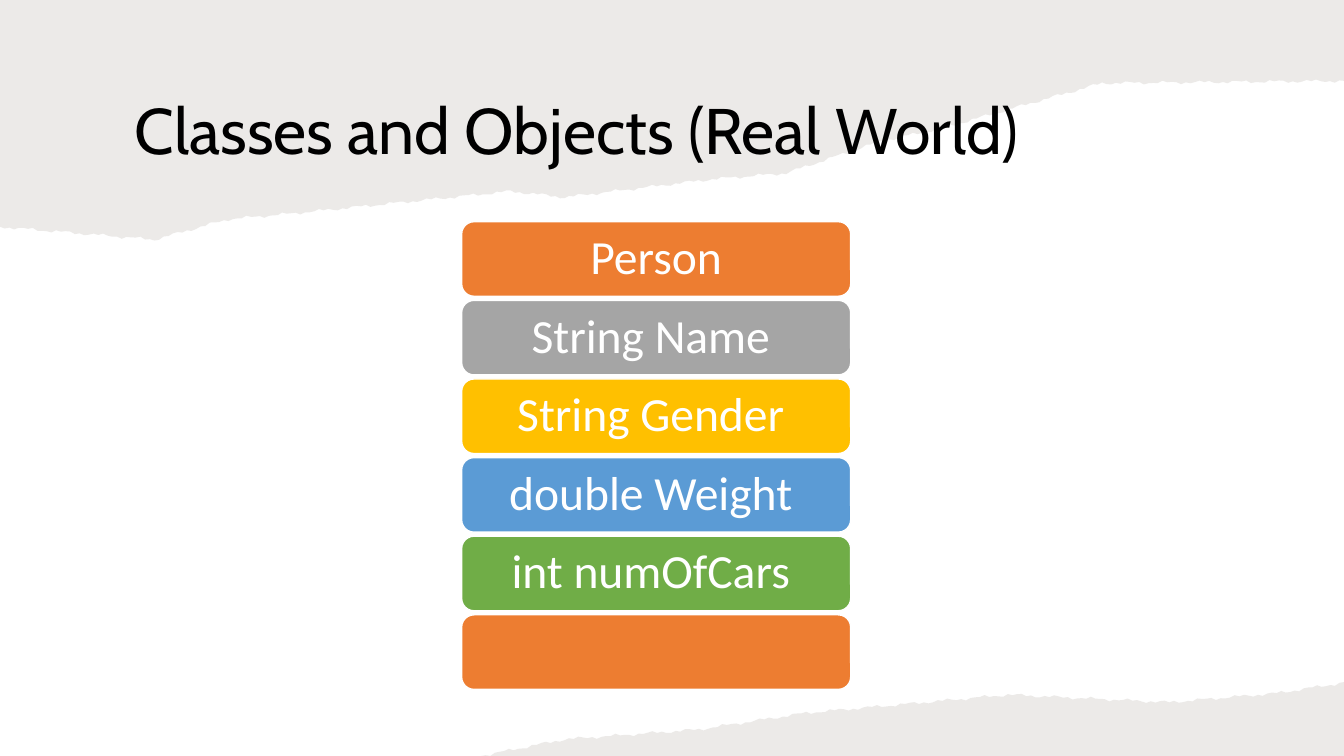
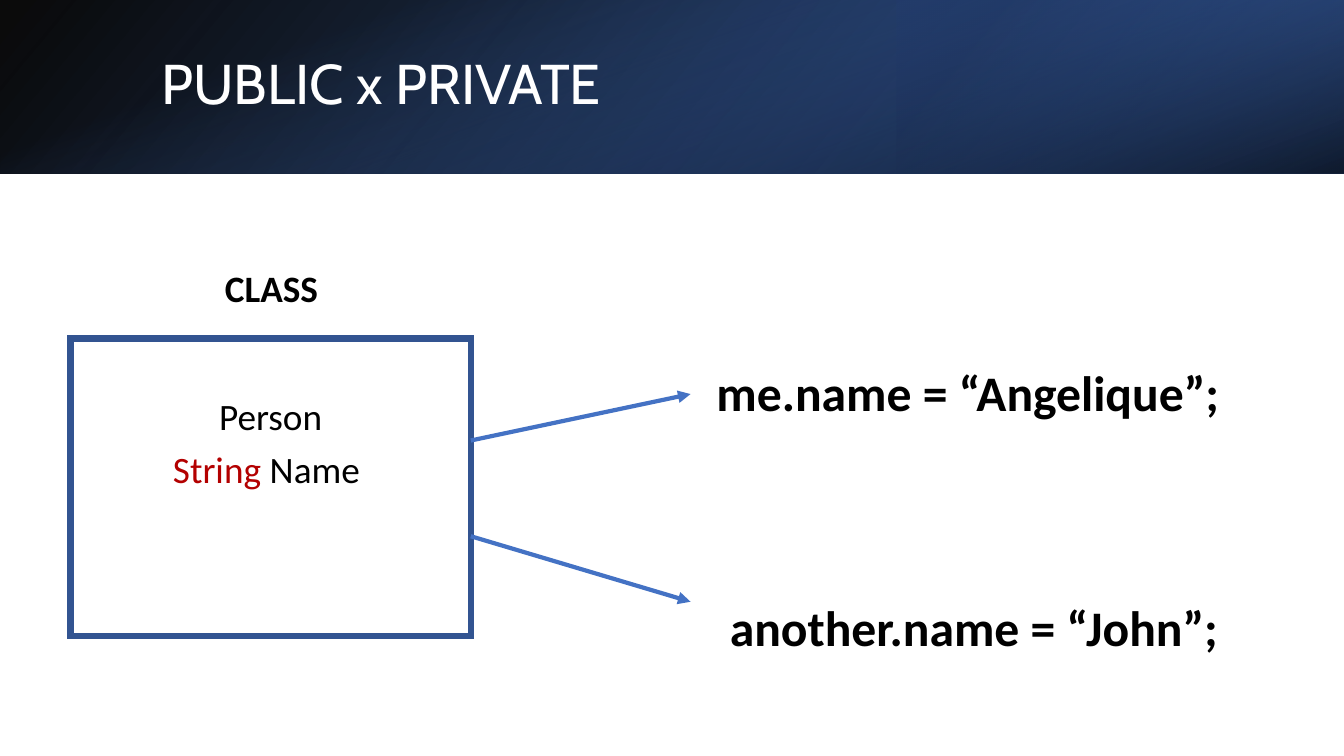
"""Builds two lesson slides about classes, objects and access."""
from itertools import pairwise
from math import ceil, sin
from typing import NamedTuple

from lxml.etree import SubElement
from pptx import Presentation
from pptx.dml.color import RGBColor
from pptx.enum.shapes import MSO_CONNECTOR as LINE, MSO_SHAPE as SHAPE
from pptx.enum.text import MSO_ANCHOR as ANCHOR, PP_ALIGN as ALIGN
from pptx.oxml.ns import qn
from pptx.util import Inches, Pt

W, H = Inches(13.333), Inches(7.5)
COL, ROW = W / 100, H / 100

BLACK = RGBColor(0x00, 0x00, 0x00)
WHITE = RGBColor(0xFF, 0xFF, 0xFF)
PAPER = RGBColor(0x82, 0x76, 0x6A)
ORANGE = RGBColor(0xED, 0x7D, 0x31)
GRAY = RGBColor(0xA5, 0xA5, 0xA5)
GOLD = RGBColor(0xFF, 0xC0, 0x00)
SKY = RGBColor(0x5B, 0x9B, 0xD5)
GREEN = RGBColor(0x70, 0xAD, 0x47)
BLUE = RGBColor(0x44, 0x72, 0xC4)
MID_BLUE = RGBColor(0x2F, 0x55, 0x97)
NAVY = RGBColor(0x20, 0x38, 0x64)
BORDER = RGBColor(0x32, 0x54, 0x91)
RED = RGBColor(0xB3, 0x00, 0x00)
TITLE_FONT, BODY_FONT = "Cabin", "Calibri"


class Point(NamedTuple):
    """A place in columns and rows."""
    x: float
    y: float


class Box(NamedTuple):
    """Left and width in columns, top and height in rows."""
    x: float
    y: float
    w: float
    h: float

    def emu(self) -> tuple[int, int, int, int]:
        """Return the box in slide units."""
        return (round(self.x * COL), round(self.y * ROW),
                round(self.w * COL), round(self.h * ROW))


class Paper(NamedTuple):
    """Torn paper: straight slide corners and the knots of its torn edge."""
    corners: tuple[Point, ...]
    knots: tuple[Point, ...]


class Stop(NamedTuple):
    """One gradient stop with its opacity in percent."""
    pos: float
    color: RGBColor
    alpha: int


class Band(NamedTuple):
    """A gradient layer of the title band."""
    box: Box
    angle: int
    stops: tuple[Stop, Stop]
    rotation: int = 0
    flip: bool = False


class Member(NamedTuple):
    """A coloured row of the class stack."""
    text: str
    color: RGBColor


class Label(NamedTuple):
    """A bold centred label."""
    text: str
    box: Box
    size: float


class Arrow(NamedTuple):
    """A straight arrow between two points."""
    start: Point
    end: Point


TEAR_STEP, TEAR_DEPTH = 0.35, 0.13
TOP_PAPER = Paper(
    corners=(Point(0, 0), Point(100, 0)),
    knots=(Point(100, 10.7), Point(82, 11), Point(76, 14), Point(70, 17),
           Point(65.5, 18.7), Point(58.5, 22.9), Point(53, 23.7),
           Point(42, 26.1), Point(38, 25.3), Point(22, 28.2),
           Point(17, 29), Point(11.5, 31.7), Point(0, 30)))
BOTTOM_PAPER = Paper(
    corners=(Point(100, 100),),
    knots=(Point(35.8, 100), Point(42, 97.8), Point(52, 96.5),
           Point(60, 94.3), Point(67, 93.2), Point(75, 91.9),
           Point(87, 92.9), Point(95, 91.7), Point(100, 90.3)))

MEMBERS = (
    Member("Person", ORANGE), Member("String Name ", GRAY),
    Member("String Gender ", GOLD), Member("double Weight ", SKY),
    Member("int numOfCars ", GREEN), Member("", ORANGE))
STACK = Box(34.35, 29.33, 28.95, 9.87)
STACK_PITCH = 10.4

BAND_H = 22.93
BANDS = (
    Band(Box(0, 0, 100, BAND_H), 140,
         (Stop(0, BLACK, 96), Stop(1, MID_BLUE, 100)), flip=True),
    Band(Box(66.67, 0, 33.33, BAND_H), 320,
         (Stop(0.19, NAVY, 68), Stop(1, BLUE, 79)), rotation=180, flip=True),
    Band(Box(0, 0, 100, BAND_H), 340,
         (Stop(0.23, BLUE, 0), Stop(0.99, BLACK, 74)), rotation=90))
CLASS_BOX = Box(5.25, 44.8, 29.78, 39.33)
CLASS_TEXT_TOP = 7.2
LABELS = (
    Label("CLASS", Box(8.4, 34.4, 23.62, 7.33), 26.6),
    Label("me.name = “Angelique”;", Box(49.65, 47.2, 44.78, 9.33), 35.5),
    Label("another.name = “John”;", Box(50.1, 78.27, 44.78, 9.33), 35.5))
CLASS_RIGHT = CLASS_BOX.x + CLASS_BOX.w
ARROWS = (Arrow(Point(CLASS_RIGHT, 58.27), Point(51.38, 52.13)),
          Arrow(Point(CLASS_RIGHT, 70.93), Point(51.38, 79.6)))


def write(sp, text: str, *, size: float, color: RGBColor = BLACK,
          font: str = BODY_FONT, bold: bool = False, align=ALIGN.CENTER,
          after: float = 0, spacing: float = 1, p=None):
    """Write a run in paragraph p, or in a new paragraph, and return it."""
    tf = sp.text_frame
    tf.word_wrap = True
    if p is None:
        p = tf.add_paragraph() if tf.text else tf.paragraphs[0]
        p.alignment, p.space_after, p.line_spacing = align, Pt(after), spacing
    r = p.add_run()
    r.text = text
    r.font.name, r.font.size, r.font.bold = font, Pt(size), bold
    r.font.color.rgb = color
    return p


def set_alphas(sp, *alphas: int) -> None:
    """Set the opacity in percent of the fill colours in order."""
    for clr, alpha in zip(sp._element.spPr.iter(qn("a:srgbClr")), alphas):
        SubElement(clr, qn("a:alpha")).set("val", str(alpha * 1000))


def add_box(s, kind, box: Box, fill: RGBColor, line: RGBColor, width: float):
    """Add a filled shape with a sharp-cornered outline."""
    sp = s.shapes.add_shape(kind, *box.emu())
    sp.shadow.inherit = False
    sp.fill.solid()
    sp.fill.fore_color.rgb = fill
    sp.line.color.rgb, sp.line.width = line, Pt(width)
    outline = sp._element.spPr.find(qn("a:ln"))
    SubElement(outline, qn("a:miter")).set("lim", "800000")
    return sp


def add_title(s, text: str, box: Box, size: float, color: RGBColor) -> None:
    """Add the slide title."""
    sp = s.shapes.add_textbox(*box.emu())
    sp.text_frame.vertical_anchor = ANCHOR.MIDDLE
    write(sp, text, size=size, color=color, font=TITLE_FONT,
          align=ALIGN.LEFT, spacing=0.9)


def torn_edge(knots: tuple[Point, ...]) -> list[Point]:
    """Join the knots in short steps, roughened by two waves."""
    edge = [knots[0]]
    for a, b in pairwise(knots):
        steps = ceil(abs(b.x - a.x) / TEAR_STEP)
        for i in range(1, steps + 1):
            x = a.x + (b.x - a.x) * i / steps
            y = a.y + (b.y - a.y) * i / steps
            jag = TEAR_DEPTH * (sin(2.3 * x) + sin(7.1 * x))
            edge.append(Point(x, min(y + jag, 100)))
    return edge


def add_paper(s, paper: Paper) -> None:
    """Add a piece of torn paper."""
    outline = [(100 * x, 100 * y)
               for x, y in (*paper.corners, *torn_edge(paper.knots))]
    builder = s.shapes.build_freeform(*outline[0],
                                      scale=(COL / 100, ROW / 100))
    builder.add_line_segments(outline[1:], close=True)
    sp = builder.convert_to_shape()
    sp.shadow.inherit = False
    sp.fill.solid()
    sp.fill.fore_color.rgb = PAPER
    sp.line.fill.background()
    set_alphas(sp, 15)


def add_band(s, band: Band) -> None:
    """Add a gradient layer that covers its box after rotation."""
    x, y, w, h = band.box.emu()
    if band.rotation % 180:
        x, y, w, h = x + (w - h) // 2, y + (h - w) // 2, h, w
    sp = s.shapes.add_shape(SHAPE.RECTANGLE, x, y, w, h)
    sp.shadow.inherit = False
    sp.line.fill.background()
    sp.rotation = band.rotation
    if band.flip:
        sp._element.spPr.find(qn("a:xfrm")).set("flipH", "1")
    sp.fill.gradient()
    sp.fill.gradient_angle = 360 - band.angle
    for target, stop in zip(sp.fill.gradient_stops, band.stops):
        target.position, target.color.rgb = stop.pos, stop.color
    set_alphas(sp, *(stop.alpha for stop in band.stops))


def add_arrow(s, arrow: Arrow) -> None:
    """Add a straight arrow."""
    ends = [round(v) for x, y in arrow for v in (x * COL, y * ROW)]
    cn = s.shapes.add_connector(LINE.STRAIGHT, *ends)
    cn.line.color.rgb, cn.line.width = BLUE, Pt(3)
    sp_pr = cn._element.spPr
    SubElement(sp_pr.find(qn("a:ln")), qn("a:tailEnd")).set("type", "triangle")
    SubElement(sp_pr, qn("a:effectLst"))


def build_classes(s) -> None:
    """Build the slide with the stack of class members."""
    add_paper(s, TOP_PAPER)
    add_title(s, "Classes and Objects (Real World)",
              Box(9.3, 10.8, 76.05, 13.87), 46, BLACK)
    add_paper(s, BOTTOM_PAPER)
    for i, member in enumerate(MEMBERS):
        box = STACK._replace(y=STACK.y + i * STACK_PITCH)
        sp = add_box(s, SHAPE.ROUNDED_RECTANGLE, box, member.color, WHITE, 1)
        if member.text:
            write(sp, member.text, size=34, color=WHITE, spacing=0.9)


def build_access(s) -> None:
    """Build the slide with the class box and its two uses."""
    for band in BANDS:
        add_band(s, band)
    add_title(s, "PUBLIC x PRIVATE", Box(11.25, 5.07, 82.35, 12.8), 40, WHITE)
    sp = add_box(s, SHAPE.RECTANGLE, CLASS_BOX, WHITE, BORDER, 4.5)
    sp.text_frame.vertical_anchor = ANCHOR.TOP
    sp.text_frame.margin_top = round(CLASS_TEXT_TOP * ROW)
    write(sp, "Person", size=26.6, after=6)
    p = write(sp, "String", size=26.6, color=RED, after=6)
    write(sp, " Name ", size=26.6, p=p)
    for label in LABELS:
        sp = s.shapes.add_textbox(*label.box.emu())
        write(sp, label.text, size=label.size, bold=True, after=6)
    for arrow in ARROWS:
        add_arrow(s, arrow)


def main() -> None:
    """Build and save the presentation."""
    prs = Presentation()
    prs.slide_width, prs.slide_height = W, H
    for build in (build_classes, build_access):
        build(prs.slides.add_slide(prs.slide_layouts[6]))
    prs.save("out.pptx")


if __name__ == "__main__":
    main()
